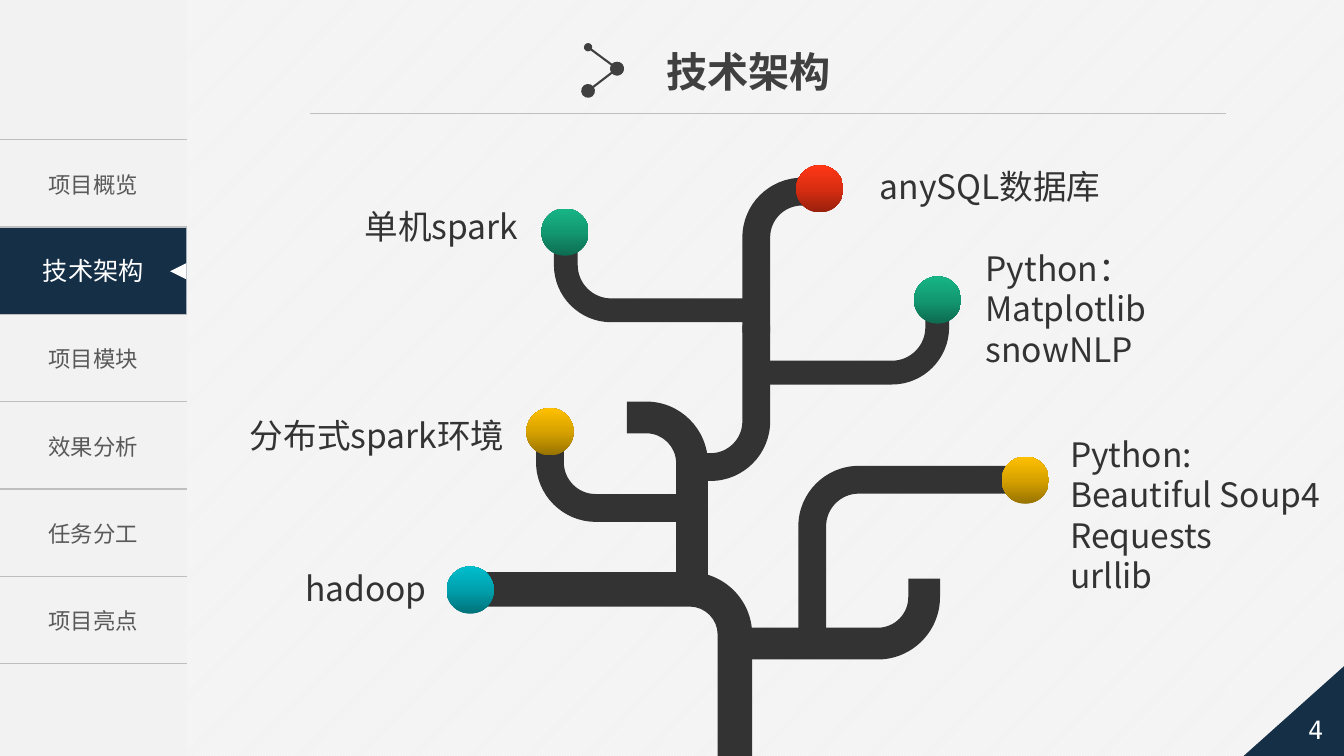
from copy import deepcopy
from dataclasses import dataclass
from typing import NamedTuple

from pptx import Presentation
from pptx.dml.color import RGBColor
from pptx.enum.dml import MSO_PATTERN
from pptx.enum.shapes import MSO_CONNECTOR, MSO_SHAPE
from pptx.enum.text import MSO_ANCHOR, MSO_AUTO_SIZE, PP_ALIGN
from pptx.oxml.ns import qn
from pptx.oxml.xmlchemy import OxmlElement
from pptx.util import Cm, Pt


@dataclass(frozen=True)
class Theme:
    white: str = "FFFFFF"
    pale: str = "F2F2F2"
    navy: str = "152F47"
    rule: str = "BFBFBF"
    tab: str = "595959"
    title: str = "404040"
    tree: str = "333333"
    teal: tuple = ("007179", "00A0AD", "00BECD")
    gold: tuple = ("977200", "D7A200", "FFC000")
    green: tuple = ("0D6B50", "139971", "17B586")
    red: tuple = ("98200C", "D82D11", "FF3716")
    font: str = "Noto Sans CJK SC"
    head: str = "Arial"
    mono: str = "DejaVu Sans Mono"
    head_size: float = 29.4
    text_size: float = 24
    page_size: float = 18
    tab_size: float = 16


T = Theme()
PLAIN = "{2D5ABB26-0587-4C30-8999-92F81FD0307C}"  # table style without lines or fills
ROUND = 0.55  # handle length of a quarter circle


class Branch(NamedTuple):
    """Centre line of one limb, with a round bend at its corner."""
    start: tuple
    bend: tuple
    end: tuple
    width: float
    radius: float


class Dot(NamedTuple):
    x: float
    y: float
    tones: tuple


class Label(NamedTuple):
    box: tuple
    text: str
    space: float = 1.0


TABS = ["项目概览", "", "项目模块", "效果分析", "任务分工", "项目亮点"]
BRANCHES = [
    Branch((18.52, 19.05), (18.52, 14.85), (11.81, 14.85), 0.87, 1.14),
    Branch((18.52, 16.22), (23.29, 16.22), (23.29, 14.58), 0.8, 1.17),
    Branch((19.18, 9.39), (23.62, 9.39), (23.62, 7.75), 0.6, 1.14),
    Branch((17.44, 14.86), (17.44, 10.52), (15.8, 10.52), 0.8, 1.15),
    Branch((20.47, 16.36), (20.47, 12.09), (25.88, 12.09), 0.7, 1.17),
    Branch((18.95, 7.82), (14.26, 7.82), (14.26, 6.17), 0.6, 1.14),
    Branch((17.42, 12.8), (13.86, 12.8), (13.86, 11.18), 0.7, 1.15),
    Branch((17.42, 11.77), (19.06, 11.77), (19.06, 8.2), 0.7, 1.15),
    Branch((19.06, 8.38), (19.06, 4.83), (20.7, 4.83), 0.7, 1.15),
]
DOTS = [
    Dot(11.85, 14.87, T.teal), Dot(13.86, 10.88, T.gold), Dot(25.84, 12.1, T.gold),
    Dot(23.63, 7.56, T.green), Dot(14.24, 5.85, T.green), Dot(20.66, 4.76, T.red),
]
LABELS = [
    Label((21.92, 3.86, 6.5, 1.37), "anySQL数据库", 1.2),
    Label((8.94, 4.85, 4.88, 1.37), "单机spark", 1.2),
    Label((6.05, 10.13, 8.2, 1.37), "分布式spark环境", 1.2),
    Label((7.44, 13.98, 7.62, 1.37), "hadoop", 1.2),
    Label((24.59, 6.12, 8.13, 4.37), "Python：\nMatplotlib\nsnowNLP"),
    Label((26.72, 10.81, 7.15, 4.37), "Python:\nBeautiful Soup4\nRequests\nurllib"),
]


def tint(fill, color: str) -> None:
    fill.solid()
    fill.fore_color.rgb = RGBColor.from_string(color)


def write(frame, text: str, *, size: float, color: str, font: str = T.font, bold: bool = False,
          align=PP_ALIGN.LEFT, anchor=MSO_ANCHOR.TOP, space: float = 1.0) -> None:
    frame.vertical_anchor = anchor
    for i, line in enumerate(text.split("\n")):
        para = frame.add_paragraph() if i else frame.paragraphs[0]
        para.alignment, para.line_spacing = align, space
        run = para.add_run()
        run.text = line
        face = run.font
        face.name, face.size, face.bold = font, Pt(size), bold
        face.color.rgb = RGBColor.from_string(color)
        asian = OxmlElement("a:ea")
        asian.set("typeface", font)
        run._r.get_or_add_rPr().find(qn("a:latin")).addnext(asian)


def add_text(slide, box: tuple, text: str, **style):
    frame = slide.shapes.add_textbox(*map(Cm, box)).text_frame
    frame.word_wrap = True
    write(frame, text, **style)
    return frame


def paint(form, color: str) -> None:
    form.shadow.inherit = False
    form.line.fill.background()
    tint(form.fill, color)


def add_form(slide, kind, box: tuple, color: str):
    form = slide.shapes.add_shape(kind, *map(Cm, box))
    paint(form, color)
    return form


def add_line(slide, start: tuple, end: tuple, color: str, width: float, **ends: str) -> None:
    """Draw a line; headEnd and tailEnd give the size of an oval end."""
    line = slide.shapes.add_connector(MSO_CONNECTOR.STRAIGHT, *map(Cm, start + end))
    line.line.width = Pt(width)
    tint(line.line.fill, color)
    for name, size in ends.items():
        tip = OxmlElement(f"a:{name}")
        for key, value in (("type", "oval"), ("w", size), ("len", size)):
            tip.set(key, value)
        line.line._get_or_add_ln().append(tip)
    line._element.spPr.append(OxmlElement("a:effectLst"))


def bow(step, prior, upright: bool) -> None:
    """Turn a straight step into a quarter circle that leaves upright or level."""
    (px, py), (qx, qy) = [(int(s[0].get("x")), int(s[0].get("y"))) for s in (prior, step)]
    cx, cy = (px, qy) if upright else (qx, py)
    curve = OxmlElement("a:cubicBezTo")
    for x, y in ((px, py), (qx, qy)):
        point = OxmlElement("a:pt")
        point.set("x", str(round(x + ROUND * (cx - x))))
        point.set("y", str(round(y + ROUND * (cy - y))))
        curve.append(point)
    curve.append(deepcopy(step[0]))
    step.getparent().replace(step, curve)


def add_branch(slide, limb: Branch) -> None:
    def unit(to: tuple) -> tuple:
        dx, dy = to[0] - limb.bend[0], to[1] - limb.bend[1]
        size = abs(dx) + abs(dy)
        return dx / size, dy / size

    u, v = unit(limb.start), unit(limb.end)

    def side(half: float) -> list:
        """One edge of the limb; a positive half is the outer one."""
        def shift(spot: tuple, along: float, across: float) -> tuple:
            return tuple(Cm(spot[k] + along * u[k] + across * v[k]) for k in (0, 1))

        return [shift(limb.start, 0, -half), shift(limb.bend, limb.radius, -half),
                shift(limb.bend, -half, limb.radius), shift(limb.end, -half, 0)]

    points = side(limb.width / 2) + side(-limb.width / 2)[::-1]
    pen = slide.shapes.build_freeform(*points[0], scale=1.0)
    pen.add_line_segments(points[1:], close=True)
    form = pen.convert_to_shape()
    paint(form, T.tree)
    steps = list(form._element.spPr.find(".//" + qn("a:moveTo")).getparent())
    upright = u[0] == 0
    bow(steps[2], steps[1], upright)
    bow(steps[6], steps[5], not upright)


def add_dot(slide, dot: Dot, size: float = 1.19) -> None:
    box = (dot.x - size / 2, dot.y - size / 2, size, size)
    form = add_form(slide, MSO_SHAPE.OVAL, box, dot.tones[0])
    form.fill.gradient()
    form.fill.gradient_angle = 90
    stops = form._element.spPr.find(".//" + qn("a:gsLst"))
    stops.append(deepcopy(stops[0]))
    for i, (stop, tone) in enumerate(zip(form.fill.gradient_stops, dot.tones)):
        stop.position = i / 2
        stop.color.rgb = RGBColor.from_string(tone)


def add_tabs(slide) -> None:
    high = 2.2
    frame = slide.shapes.add_table(len(TABS), 1, 0, Cm(3.52), Cm(4.7), Cm(high * len(TABS)))
    table = frame.table
    table.first_row = table.horz_banding = False
    table._tbl.tblPr.find(qn("a:tableStyleId")).text = PLAIN
    for i, name in enumerate(TABS):
        table.rows[i].height = Cm(high)
        cell = table.cell(i, 0)
        cell.fill.background()
        cell.vertical_anchor = MSO_ANCHOR.MIDDLE
        if name:
            write(cell.text_frame, name, size=T.tab_size, color=T.tab,
                  align=PP_ALIGN.CENTER, anchor=MSO_ANCHOR.MIDDLE)
        for k, tag in enumerate(("a:lnT", "a:lnB")):
            edge, fill, tone = map(OxmlElement, (tag, "a:solidFill", "a:srgbClr"))
            edge.set("w", str(Pt(1)))
            tone.set("val", T.rule)
            fill.append(tone)
            edge.append(fill)
            cell._tc.get_or_add_tcPr().insert(k, edge)


def add_frame(slide) -> None:
    """Draw the side menu, the page corner and the heading."""
    mid = dict(align=PP_ALIGN.CENTER, anchor=MSO_ANCHOR.MIDDLE)
    add_form(slide, MSO_SHAPE.RECTANGLE, (0, 0, 4.7, 19.05), T.pale)
    tab = add_form(slide, MSO_SHAPE.RECTANGLE, (0, 5.73, 4.7, 2.19), T.navy)
    write(tab.text_frame, "技术架构", size=T.page_size, color=T.white, **mid)
    mark = add_form(slide, MSO_SHAPE.ISOSCELES_TRIANGLE, (4.29, 6.63, 0.41, 0.41), T.white)
    mark.rotation = 270
    corner = add_form(slide, MSO_SHAPE.RIGHT_TRIANGLE, (31.32, 16.71, 2.64, 2.36), T.navy)
    corner._element.spPr.xfrm.set("flipH", "1")
    page = add_text(slide, (32.44, 17.68, 1.43, 1.4), "4", size=T.page_size, color=T.white, font=T.mono, **mid)
    page.margin_left = page.margin_right = 0
    add_tabs(slide)
    add_line(slide, (7.8, 2.86), (30.89, 2.86), T.rule, 0.5)
    title = slide.shapes.title
    title.left, title.top, title.width, title.height = map(Cm, (16.54, 1.04, 4.7, 1.5))
    title.text_frame.word_wrap = False
    title.text_frame.auto_size = MSO_AUTO_SIZE.NONE
    write(title.text_frame, "技术架构", size=T.head_size, color=T.title, font=T.head,
          bold=True, anchor=MSO_ANCHOR.MIDDLE)
    tip = (15.55, 1.73)
    add_line(slide, (14.82, 1.19), tip, T.title, 1.5, headEnd="med", tailEnd="lg")
    add_line(slide, tip, (14.82, 2.29), T.title, 1.5, headEnd="lg", tailEnd="lg")


def main() -> None:
    deck = Presentation()
    deck.slide_width, deck.slide_height = Cm(33.87), Cm(19.05)
    slide = deck.slides.add_slide(deck.slide_layouts[5])
    back = slide.background.fill
    back.patterned()
    back.pattern = MSO_PATTERN.LIGHT_UPWARD_DIAGONAL
    back.fore_color.rgb = RGBColor.from_string(T.white)
    back.back_color.rgb = RGBColor.from_string(T.pale)
    add_frame(slide)
    for limb in BRANCHES:
        add_branch(slide, limb)
    for dot in DOTS:
        add_dot(slide, dot)
    for label in LABELS:
        add_text(slide, label.box, label.text, size=T.text_size, color=T.tree, space=label.space)
    deck.save("out.pptx")


if __name__ == "__main__":
    main()
